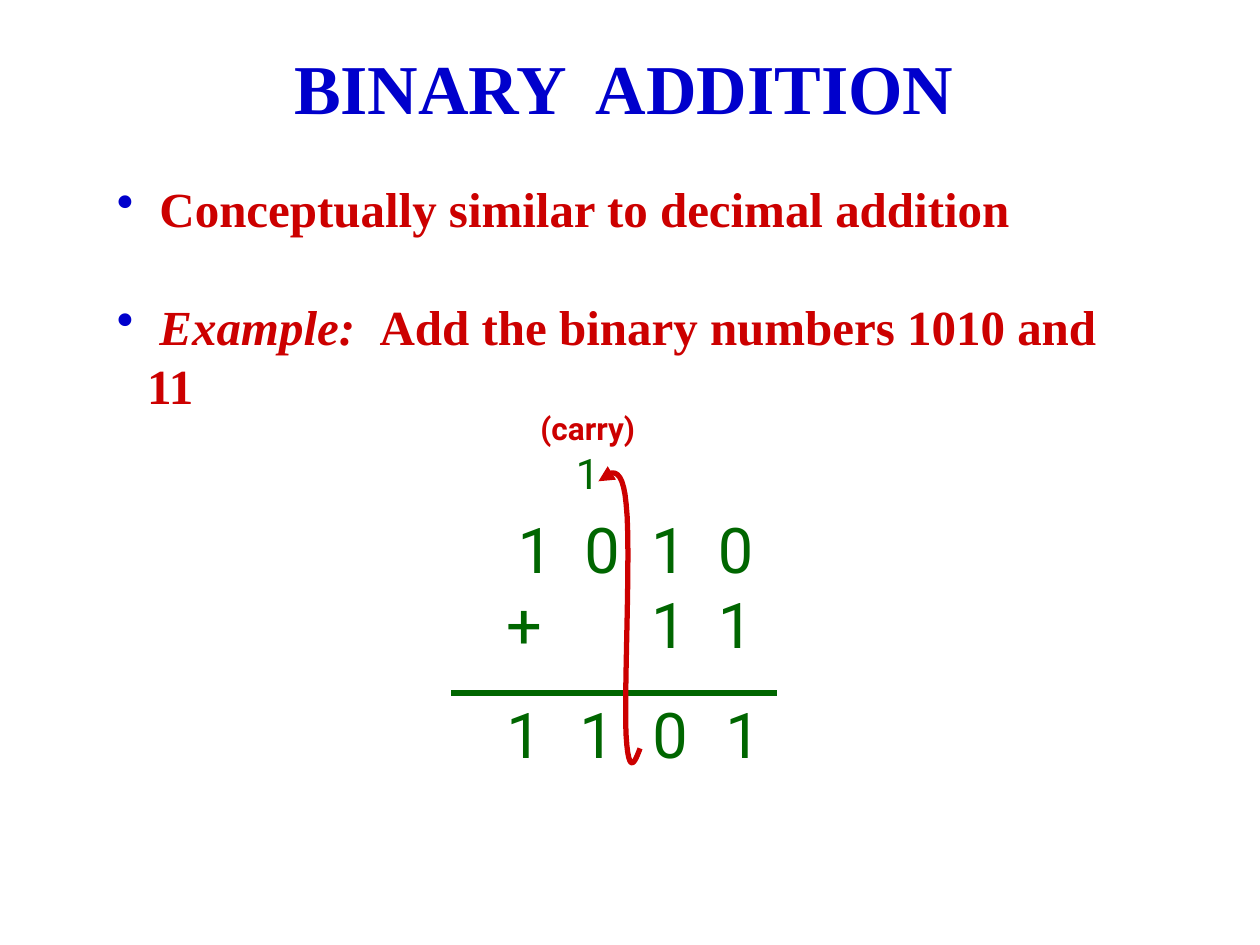
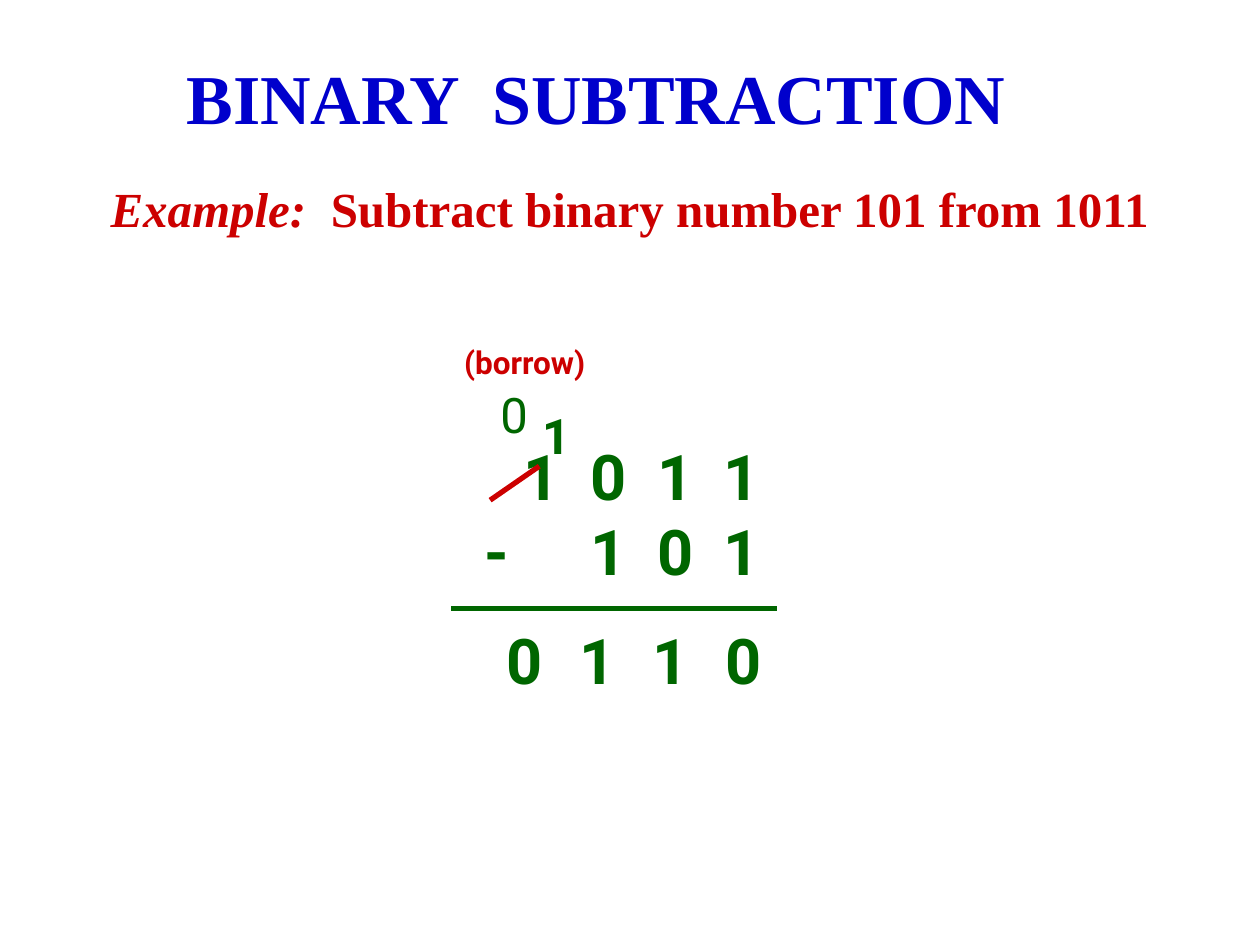
from lxml import etree
from pptx import Presentation
from pptx.dml.color import RGBColor
from pptx.enum.shapes import MSO_CONNECTOR
from pptx.enum.text import MSO_ANCHOR, MSO_AUTO_SIZE, PP_ALIGN
from pptx.oxml.ns import qn
from pptx.util import Inches, Pt

BLUE = RGBColor(0x00, 0x00, 0xCC)
RED = RGBColor(0xCC, 0x00, 0x00)
GREEN = RGBColor(0x00, 0x66, 0x00)
SERIF, SANS = "Times New Roman", "Roboto"
LEFT, CENTER = PP_ALIGN.LEFT, PP_ALIGN.CENTER
TOP = MSO_ANCHOR.TOP
NO_AUTOFIT = MSO_AUTO_SIZE.NONE
STRAIGHT = MSO_CONNECTOR.STRAIGHT

COLUMN_STOPS = [round(0.82 + 0.53 * i, 2) for i in range(4)]
RESULT_LEFT, RESULT_PITCH = 3.92, 0.58
RULE_LEFT, RULE_RIGHT = 3.58, 6.17
BULLET_INDENT = 0.24

SLIDES = [
    {
        "title": ("BINARY  ADDITION", (2.2, 0.3, 5.5, 0.77)),
        "body": [[(" Conceptually similar to decimal addition", False)],
                 [(" Example:  ", True), ("Add the binary numbers 1010 and 11", False)]],
        "body_at": (0.83, 1.37, 8.35, 2.0),
        "bullets": True,
        "operands": ("1010", "+", 0.73, "11"),
        "operands_at": (3.33, 4, 2.75, 1.3),
        "result": "1101",
        "result_top": 5.47,
        "rule_y": 5.5,
        "bold": False,
        "marks": [([("(carry)", 18, RED, True), ("1", 24, GREEN, False)],
                   (4.08, 3.2, 1.17, 0.8))],
        "carry_curve": [(5.08, 5.94),
                        (5.04, 6.05), (4.99, 6.17), (4.97, 5.84),
                        (4.95, 5.52), (5.01, 4.34), (4.97, 4),
                        (4.94, 3.67), (4.84, 3.74), (4.75, 3.82)],
    },
    {
        "title": ("BINARY  SUBTRACTION", (1.02, 0.38, 7.42, 0.77)),
        "body": [[("Example:  ", True), ("Subtract binary number 101 from 1011", False)]],
        "body_at": (0.78, 1.37, 8.7, 0.57),
        "bullets": False,
        "operands": ("1011", "-", 0.46, "101"),
        "operands_at": (3.38, 3.42, 2.75, 1.3),
        "result": "0110",
        "result_top": 4.88,
        "rule_y": 4.83,
        "bold": True,
        "marks": [([("(borrow)", 18, RED, True)], (3.5, 2.67, 1.33, 0.4)),
                  ([("1", 28, GREEN, True)], (4.17, 3.17, 0.5, 0.57)),
                  ([("0", 28, GREEN, False)], (3.83, 3, 0.5, 0.57))],
        "strike": (3.89, 3.97, 4.28, 3.7),
    },
]


def style(font, name, size, color, bold, italic=False):
    font.name, font.size, font.bold, font.italic = name, Pt(size), bold, italic
    font.color.rgb = color


def add_text(s, at):
    tf = s.shapes.add_textbox(*map(Inches, at)).text_frame
    tf.word_wrap = True
    return tf


def add_lines(s, lines, at):
    tf = add_text(s, at)
    tf.text = "\n".join(line[0] for line in lines)
    for p, (_, size, color, bold) in zip(tf.paragraphs, lines):
        p.alignment = CENTER
        style(p.runs[0].font, SANS, size, color, bold)


def set_title(s, text, at):
    sp = s.shapes.title
    sp.left, sp.top, sp.width, sp.height = map(Inches, at)
    tf = sp.text_frame
    tf.text = text
    tf.auto_size, tf.vertical_anchor, tf.word_wrap = NO_AUTOFIT, TOP, True
    p = tf.paragraphs[0]
    p.alignment = CENTER
    style(p.runs[0].font, SERIF, 40, BLUE, True)


def add_bullet(p):
    pPr = p._p.get_or_add_pPr()
    pPr.set("marL", str(Inches(BULLET_INDENT)))
    pPr.set("indent", str(-Inches(BULLET_INDENT)))
    color = etree.SubElement(pPr, qn("a:buClr"))
    etree.SubElement(color, qn("a:srgbClr"), val=str(BLUE))
    etree.SubElement(pPr, qn("a:buChar"), char="•")


def add_body(s, paragraphs, at, bullets):
    tf = add_text(s, at)
    for i, parts in enumerate(paragraphs):
        p = tf.add_paragraph() if i else tf.paragraphs[0]
        if bullets:
            add_bullet(p)
        if i:
            p.space_before = Pt(33.6)
        for text, italic in parts:
            r = p.add_run()
            r.text = text
            style(r.font, SERIF, 28, RED, True, italic)


def add_operands(s, operands, at, bold):
    first, sign, sign_stop, second = operands
    rows = [(first, COLUMN_STOPS),
            (sign + second, [sign_stop] + COLUMN_STOPS[-len(second):])]
    tf = add_text(s, at)
    tf.text = "\n".join("".join("\t" + c for c in chars) for chars, _ in rows)
    for p, (_, stops) in zip(tf.paragraphs, rows):
        p.alignment = LEFT
        tabs = etree.SubElement(p._p.get_or_add_pPr(), qn("a:tabLst"))
        for stop in stops:
            etree.SubElement(tabs, qn("a:tab"), pos=str(Inches(stop)), algn="ctr")
        for r in p.runs:
            style(r.font, SANS, 36, GREEN, bold)


def add_line(s, ends, color):
    line = s.shapes.add_connector(STRAIGHT, *map(Inches, ends))
    line.line.color.rgb = color
    line.line.width = Pt(3)
    etree.SubElement(line._element.spPr, qn("a:effectLst"))


def bezier(a, b, c, d, t):
    u = 1 - t
    return tuple(Inches(u**3 * w + 3 * u * u * t * x + 3 * u * t * t * y + t**3 * z)
                 for w, x, y, z in zip(a, b, c, d))


def add_carry_arrow(s, knots, steps=12):
    points = [bezier(*knots[i:i + 4], k / steps)
              for i in range(0, len(knots) - 1, 3) for k in range(1, steps + 1)]
    builder = s.shapes.build_freeform(*map(Inches, knots[0]))
    builder.add_line_segments(points, close=False)
    sp = builder.convert_to_shape()
    sp.shadow.inherit = False
    sp.fill.background()
    sp.line.color.rgb = RED
    sp.line.width = Pt(3)
    etree.SubElement(sp.line._get_or_add_ln(), qn("a:tailEnd"), type="triangle")


def build_slide(prs, data):
    s = prs.slides.add_slide(prs.slide_layouts[5])
    bold = data["bold"]
    set_title(s, *data["title"])
    add_body(s, data["body"], data["body_at"], data["bullets"])
    add_operands(s, data["operands"], data["operands_at"], bold)
    for lines, at in data["marks"]:
        add_lines(s, lines, at)
    add_line(s, (RULE_LEFT, data["rule_y"], RULE_RIGHT, data["rule_y"]), GREEN)
    for i, digit in enumerate(data["result"]):
        at = (RESULT_LEFT + i * RESULT_PITCH, data["result_top"], 0.33, 0.7)
        add_lines(s, [(digit, 36, GREEN, bold)], at)
    if "carry_curve" in data:
        add_carry_arrow(s, data["carry_curve"])
    if "strike" in data:
        add_line(s, data["strike"], RED)


def main():
    prs = Presentation()
    prs.slide_width, prs.slide_height = Inches(10), Inches(7.5)
    for data in SLIDES:
        build_slide(prs, data)
    prs.save("out.pptx")


if __name__ == "__main__":
    main()
